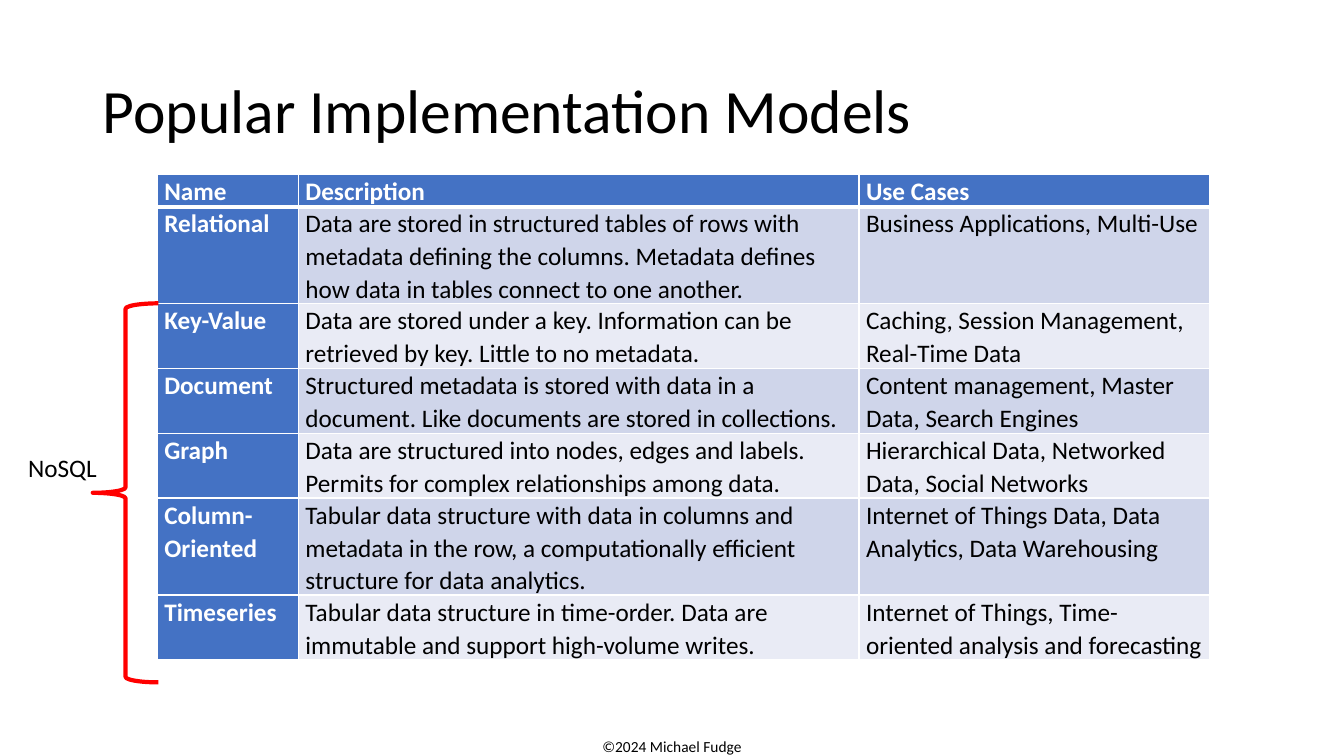
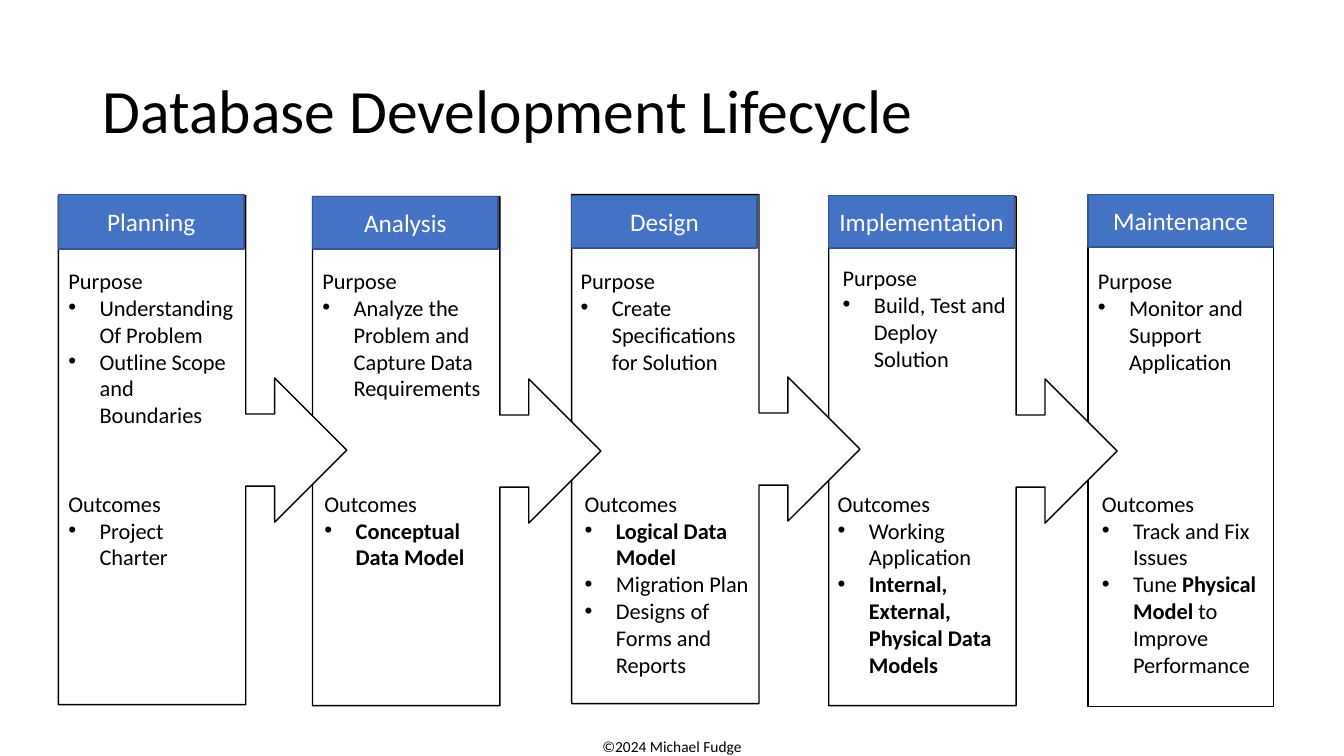
from dataclasses import dataclass

from lxml.etree import SubElement
from pptx import Presentation
from pptx.dml.color import RGBColor
from pptx.enum.shapes import MSO_SHAPE
from pptx.enum.text import MSO_ANCHOR, PP_ALIGN
from pptx.oxml.ns import qn
from pptx.util import Inches, Pt


@dataclass(frozen=True)
class Theme:
    font: str = "Calibri"
    black: str = "000000"
    white: str = "FFFFFF"
    blue: str = "4472C4"
    dark_blue: str = "325491"
    red: str = "FF0000"
    bands: tuple = ("CFD5EA", "E9EBF5")
    title_size: int = 44
    heading_size: int = 18
    body_size: int = 16
    footer_size: int = 11


THEME = Theme()
FOOTER = "©2024 Michael Fudge"

MODELS_TITLE = "Popular Implementation Models"
MODEL_COLUMNS = [("Name", 1.4), ("Description", 5.56), ("Use Cases", 3.48)]
MODELS = [
    ("Relational",
     "Data are stored in structured tables of rows with metadata defining the columns. "
     "Metadata defines how data in tables connect to one another.",
     "Business Applications, Multi-Use"),
    ("Key-Value",
     "Data are stored under a key. Information can be retrieved by key. Little to no metadata.",
     "Caching, Session Management, Real-Time Data"),
    ("Document",
     "Structured metadata is stored with data in a document. "
     "Like documents are stored in collections.",
     "Content management, Master Data, Search Engines"),
    ("Graph",
     "Data are structured into nodes, edges and labels. "
     "Permits for complex relationships among data.",
     "Hierarchical Data, Networked Data, Social Networks"),
    ("Column-Oriented",
     "Tabular data structure with data in columns and metadata in the row, "
     "a computationally efficient structure for data analytics.",
     "Internet of Things Data, Data Analytics, Data Warehousing"),
    ("Timeseries",
     "Tabular data structure in time-order. Data are immutable and support high-volume writes.",
     "Internet of Things, Time-oriented analysis and forecasting"),
]
ROW_LINES = [1, 3, 2, 2, 2, 3, 2]
LINE_HEIGHT = 0.32

LIFECYCLE_TITLE = "Database Development Lifecycle"
STAGE_WIDTH, STAGE_HEIGHT, CALLOUT_WIDTH = 1.84, 5.05, 2.86
OUTCOMES_TOP = 4.81
# Asterisks enclose bold text.
STAGES = [
    dict(name="Planning", left=0.58, top=1.94, header=(1.93, 0.54),
         purpose_at=(0.58, 2.6), outcomes_left=0.58,
         purpose=["Understanding Of Problem", "Outline Scope and Boundaries"],
         outcomes=["Project Charter"]),
    dict(name="Analysis", left=3.1, top=1.95, header=(1.95, 0.52),
         purpose_at=(3.1, 2.6), outcomes_left=3.12,
         purpose=["Analyze the Problem and Capture Data Requirements"],
         outcomes=["*Conceptual Data Model*"]),
    dict(name="Design", left=5.67, top=1.93, header=(1.94, 0.52),
         purpose_at=(5.66, 2.6), outcomes_left=5.7,
         purpose=["Create Specifications for Solution"],
         outcomes=["*Logical Data Model*", "Migration Plan", "Designs of Forms and Reports"]),
    dict(name="Implementation", left=8.22, top=1.95, header=(1.94, 0.52),
         purpose_at=(8.26, 2.57), outcomes_left=8.21,
         purpose=["Build, Test and Deploy Solution"],
         outcomes=["Working Application", "*Internal, External, Physical Data Models*"]),
    dict(name="Maintenance", left=10.79, top=1.96, header=(1.93, 0.52),
         purpose_at=(10.79, 2.6), outcomes_left=10.83,
         purpose=["Monitor and Support Application"],
         outcomes=["Track and Fix Issues", "Tune *Physical Model* to Improve Performance"]),
]


def color(value):
    return RGBColor.from_string(value)


def add_bullet(paragraph):
    properties = paragraph._p.get_or_add_pPr()
    properties.set("marL", str(Inches(0.31)))
    properties.set("indent", str(-Inches(0.31)))
    SubElement(properties, qn("a:buFont")).set("typeface", "Arial")
    SubElement(properties, qn("a:buChar")).set("char", "•")


def write(frame, text, *, size, fill=THEME.black, bold=False, align=PP_ALIGN.LEFT,
          anchor=MSO_ANCHOR.TOP, spacing=None, bullets=(), wrap=True):
    frame.word_wrap = wrap
    frame.vertical_anchor = anchor
    for index, line in enumerate([text, *bullets]):
        paragraph = frame.add_paragraph() if index else frame.paragraphs[0]
        paragraph.alignment = align
        if spacing:
            paragraph.line_spacing = spacing
        if index:
            add_bullet(paragraph)
        for position, part in enumerate(line.split("*")):
            if part:
                run = paragraph.add_run()
                run.text = part
                run.font.name = THEME.font
                run.font.size = Pt(size)
                run.font.bold = bold or position % 2 == 1
                run.font.color.rgb = color(fill)


def add_text(shapes, text, box, **text_format):
    shape = shapes.add_textbox(*map(Inches, box))
    write(shape.text_frame, text, **text_format)


def add_block(shapes, kind, box, line, line_width=1, fill=None):
    shape = shapes.add_shape(kind, *map(Inches, box))
    shape.shadow.inherit = False
    if fill:
        shape.fill.solid()
        shape.fill.fore_color.rgb = color(fill)
    else:
        shape.fill.background()
    shape.line.color.rgb = color(line)
    shape.line.width = Pt(line_width)
    return shape


def add_slide(presentation, title):
    slide = presentation.slides.add_slide(presentation.slide_layouts[6])
    add_text(slide.shapes, FOOTER, (5.67, 7.26, 1.99, 0.29),
             size=THEME.footer_size, align=PP_ALIGN.CENTER)
    add_text(slide.shapes, title, (0.92, 0.4, 11.5, 1.45),
             size=THEME.title_size, anchor=MSO_ANCHOR.MIDDLE, spacing=0.9)
    return slide


def set_borders(cell, bottom_width):
    properties = cell._tc.get_or_add_tcPr()
    widths = {"a:lnL": 1, "a:lnR": 1, "a:lnT": 1, "a:lnB": bottom_width}
    for index, (side, width) in enumerate(widths.items()):
        border = properties.makeelement(qn(side), {"w": str(Pt(width))})
        fill = SubElement(border, qn("a:solidFill"))
        SubElement(fill, qn("a:srgbClr")).set("val", THEME.white)
        properties.insert(index, border)


def add_models_table(slide):
    names, widths = zip(*MODEL_COLUMNS)
    rows = [names, *MODELS]
    table = slide.shapes.add_table(
        len(rows), len(names), Inches(1.56), Inches(1.73),
        Inches(sum(widths)), Inches(LINE_HEIGHT * sum(ROW_LINES))).table
    table.horz_banding = False
    for column, width in zip(table.columns, widths):
        column.width = Inches(width)
    for row_index, values in enumerate(rows):
        table.rows[row_index].height = Inches(LINE_HEIGHT * ROW_LINES[row_index])
        for column_index, value in enumerate(values):
            cell = table.cell(row_index, column_index)
            heading = row_index == 0 or column_index == 0
            cell.margin_left = cell.margin_right = Inches(0.07)
            cell.margin_top = cell.margin_bottom = 0
            cell.fill.solid()
            cell.fill.fore_color.rgb = color(
                THEME.blue if heading else THEME.bands[(row_index - 1) % 2])
            set_borders(cell, 1 if row_index else 3)
            write(cell.text_frame, value, size=THEME.heading_size, bold=heading,
                  fill=THEME.white if heading else THEME.black, spacing=1.07)


def add_stage(slide, stage, is_last):
    shapes = slide.shapes.add_group_shape().shapes
    kind = MSO_SHAPE.RECTANGLE if is_last else MSO_SHAPE.RIGHT_ARROW_CALLOUT
    width = STAGE_WIDTH if is_last else CALLOUT_WIDTH
    add_block(shapes, kind, (stage["left"], stage["top"], width, STAGE_HEIGHT),
              THEME.black, fill=THEME.white)
    header_top, header_height = stage["header"]
    header = add_block(shapes, MSO_SHAPE.RECTANGLE,
                       (stage["left"], header_top, STAGE_WIDTH, header_height),
                       THEME.dark_blue, fill=THEME.blue)
    write(header.text_frame, stage["name"], size=THEME.heading_size, fill=THEME.white,
          align=PP_ALIGN.CENTER, anchor=MSO_ANCHOR.MIDDLE)
    add_text(shapes, "Purpose", (*stage["purpose_at"], STAGE_WIDTH, 1.72),
             size=THEME.body_size, bullets=stage["purpose"])
    add_text(shapes, "Outcomes", (stage["outcomes_left"], OUTCOMES_TOP, STAGE_WIDTH, 1.99),
             size=THEME.body_size, bullets=stage["outcomes"])


def main():
    presentation = Presentation()
    presentation.slide_width = Inches(13.33)
    presentation.slide_height = Inches(7.5)

    models_slide = add_slide(presentation, MODELS_TITLE)
    add_models_table(models_slide)
    nosql_shapes = models_slide.shapes.add_group_shape().shapes
    add_block(nosql_shapes, MSO_SHAPE.LEFT_BRACE, (0.92, 3.01, 0.65, 3.76), THEME.red, 3)
    add_text(nosql_shapes, "NoSQL", (0.18, 4.44, 0.89, 0.4),
             size=THEME.heading_size, wrap=False)

    lifecycle_slide = add_slide(presentation, LIFECYCLE_TITLE)
    for stage in reversed(STAGES):
        add_stage(lifecycle_slide, stage, stage is STAGES[-1])

    presentation.save("out.pptx")


if __name__ == "__main__":
    main()
